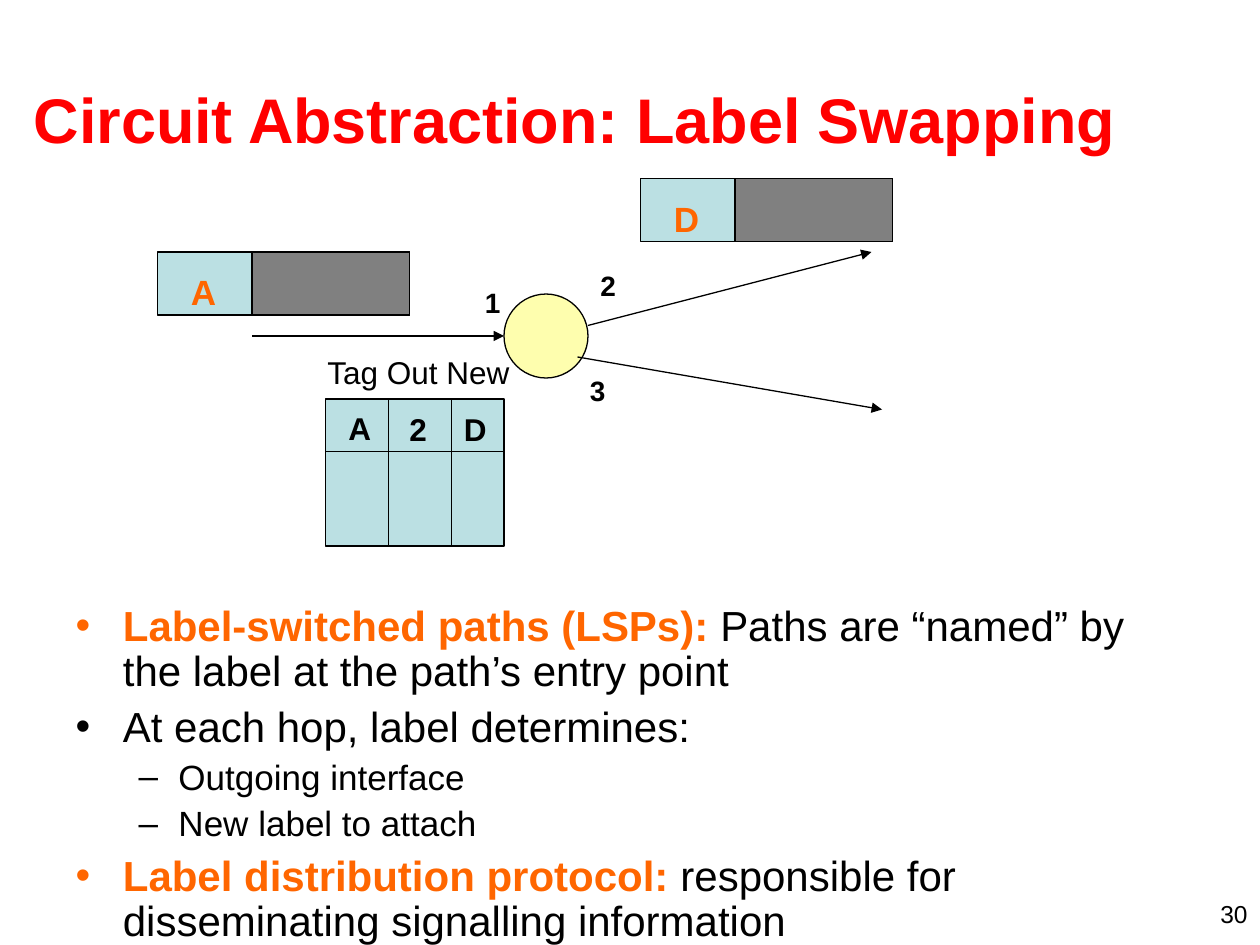
from lxml.etree import SubElement as Sub
from pptx import Presentation
from pptx.dml.color import RGBColor
from pptx.enum.shapes import MSO_CONNECTOR as Conn, MSO_SHAPE as Shape
from pptx.enum.text import MSO_ANCHOR as Anchor, MSO_AUTO_SIZE as Auto, PP_ALIGN as Align
from pptx.oxml.ns import qn
from pptx.util import Emu, Pt

# Content; lengths are px, 120 to the inch
BLACK, RED, ORANGE = "000000", "FF0000", "FF6600"
BLUE, GRAY, YELLOW = "BBE0E3", "808080", "FEFEAE"

TITLE = "Circuit Abstraction: Label Swapping"
BODY = [  # level, [(text, colour, bold)]
    (0, [("Label-switched paths (LSPs):", ORANGE, True),
         (" Paths are “named” by the label at the path’s entry point", BLACK, False)]),
    (0, [("At each hop, label determines:", BLACK, False)]),
    (1, [("Outgoing interface", BLACK, False)]),
    (1, [("New label to attach", BLACK, False)]),
    (0, [("Label distribution protocol: ", ORANGE, True),
         ("responsible for disseminating signalling information", BLACK, False)]),
]
LEVELS = [  # bullet, left margin, hang, size, space before
    ("•", 45, 45, 24, 6),
    ("–", 98, 38, 20, 5),
]
PACKETS = [("A", 150, 240), ("D", 610, 170)]
ARROWS = [(240, 320, 480, 320), (560, 310, 830, 240), (550, 340, 840, 390)]
PORTS = [("1", 450, 266), ("2", 560, 250), ("3", 550, 350)]
TABLE = (310, 380, 170, 140)
COLS, ROW = (60, 120), 50
HEAD = ("Tag Out New", 300, 330)
CELLS = [("A", 320, 384), ("2", 378, 385), ("D", 430, 385)]


def px(n):
    return Emu(n * 7620)


def rgb(code):
    return RGBColor.from_string(code)


def put(para, text, size, color=BLACK, bold=False):
    run = para.add_run()
    run.text = text
    font = run.font
    font.name, font.size, font.bold = "Arial", Pt(size), bold
    font.color.rgb = rgb(color)


def place(obj, x, y, w, h):
    obj.left, obj.top, obj.width, obj.height = map(px, (x, y, w, h))


def block(kind, x, y, w, h, fill):
    obj = shapes.add_shape(kind, px(x), px(y), px(w), px(h))
    obj.shadow.inherit = False
    obj.fill.solid()
    obj.fill.fore_color.rgb = rgb(fill)
    obj.line.color.rgb = rgb(BLACK)
    obj.line.width = Pt(0.75)


def line(x1, y1, x2, y2, arrow=False):
    obj = shapes.add_connector(Conn.STRAIGHT, px(x1), px(y1), px(x2), px(y2))
    obj.line.color.rgb = rgb(BLACK)
    obj.line.width = Pt(0.75)
    if arrow:
        Sub(obj.line._get_or_add_ln(), qn("a:tailEnd"), type="triangle")
    Sub(obj._element.spPr, qn("a:effectLst"))


def label(text, x, y, w, h, size, color=BLACK, bold=True, align=Align.LEFT):
    frame = shapes.add_textbox(px(x), px(y), px(w), px(h)).text_frame
    frame.word_wrap = True
    para = frame.paragraphs[0]
    para.alignment = align
    put(para, text, size, color, bold)


def bullet(para, char, left, hang, color):
    props = para._p.get_or_add_pPr()
    props.set("marL", str(px(left)))
    props.set("indent", str(px(-hang)))
    Sub(Sub(props, qn("a:buClr")), qn("a:srgbClr"), val=color)
    Sub(props, qn("a:buFont"), typeface="Arial")
    Sub(props, qn("a:buChar"), char=char)


deck = Presentation()
deck.slide_width, deck.slide_height = px(1200), px(900)
slide = deck.slides.add_slide(deck.slide_layouts[1])
shapes = slide.shapes

# Title
title = shapes.title
place(title, 20, 38, 1150, 150)
frame = title.text_frame
frame.auto_size, frame.vertical_anchor = Auto.NONE, Anchor.MIDDLE
frame.paragraphs[0].alignment = Align.LEFT
put(frame.paragraphs[0], TITLE, 36, RED, True)

# Bullet list
body = slide.placeholders[1]
place(body, 60, 570, 1070, 340)
frame = body.text_frame
frame.auto_size = Auto.NONE
for i, (level, runs) in enumerate(BODY):
    para = frame.add_paragraph() if i else frame.paragraphs[0]
    char, left, hang, size, gap = LEVELS[level]
    para.level = level
    bullet(para, char, left, hang, runs[0][1])
    para.line_spacing = 0.9
    para.space_before = Pt(gap if i else 0)
    for text, color, bold in runs:
        put(para, text, size, color, bold)

# Switch, its links and ports
block(Shape.OVAL, 480, 280, 80, 80, YELLOW)
for ends in ARROWS:
    line(*ends, arrow=True)
for text, x, y in PORTS:
    label(text, x, y, 50, 44, 16)

# Packets: label and payload
for text, x, y in PACKETS:
    block(Shape.RECTANGLE, x, y, 240, 60, BLUE)
    block(Shape.RECTANGLE, x + 90, y, 150, 60, GRAY)
    label(text, x + 20, y + 12, 50, 53, 20, ORANGE)

# Label table
x, y, w, h = TABLE
block(Shape.RECTANGLE, x, y, w, h, BLUE)
for col in COLS:
    line(x + col, y, x + col, y + h)
line(x, y + ROW, x + w, y + ROW)
for text, left, top in CELLS:
    label(text, left, top, 50, 48, 18)
label(*HEAD, 280, 48, 18, bold=False)

# Page number
label("30", 920, 850, 280, 30, 14, bold=False, align=Align.RIGHT)

deck.save("out.pptx")
